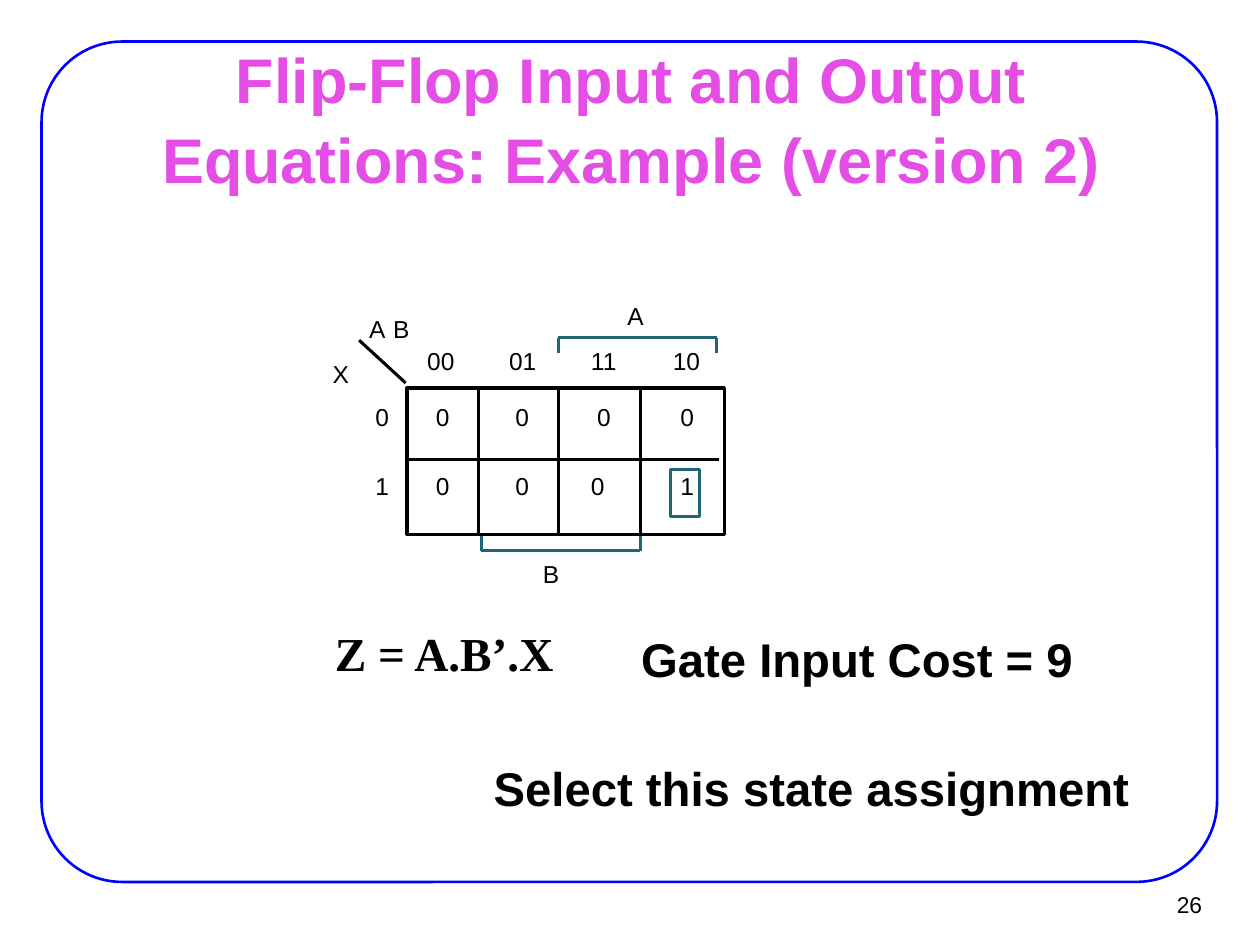
from pptx import Presentation
from pptx.dml.color import RGBColor
from pptx.enum.shapes import MSO_CONNECTOR as Connector, MSO_SHAPE as Shape
from pptx.enum.text import MSO_ANCHOR as Anchor, MSO_AUTO_SIZE as AutoSize, PP_ALIGN as Align
from pptx.oxml.ns import qn
from pptx.util import Inches, Pt
from lxml.etree import SubElement

BLACK, BLUE, TEAL, PINK = "000000", "0000FF", "226577", "E44EE4"


def color(value):
    return RGBColor.from_string(value)


class SlideBuilder:
    """Holds the shared style and the slide being drawn."""
    font = "Arial"
    label_size = 14
    statement_size = 27
    loose_spacing = 1.05
    line_width = 1.75

    def __init__(self, page):
        self.page = page

    def add_span(self, para, text, size, ink=BLACK, bold=False, font=None):
        span = para.add_run()
        span.text = text
        span.font.name = font or self.font
        span.font.size = Pt(size)
        span.font.bold = bold
        span.font.color.rgb = color(ink)

    def title(self, text, left, top, width, height):
        box = self.page.shapes.title
        box.left, box.top = Inches(left), Inches(top)
        box.width, box.height = Inches(width), Inches(height)
        frame = box.text_frame
        frame.auto_size = AutoSize.NONE
        frame.word_wrap = True
        frame.vertical_anchor = Anchor.MIDDLE
        frame.margin_left = frame.margin_right = Inches(0.11)
        frame.margin_top = frame.margin_bottom = Inches(0.06)
        para = frame.paragraphs[0]
        para.alignment = Align.CENTER
        para.line_spacing = self.loose_spacing
        self.add_span(para, text, 36, PINK, bold=True)

    def text_box(self, left, top, width, height):
        box = self.page.shapes.add_textbox(
            Inches(left), Inches(top), Inches(width), Inches(height))
        box.text_frame.word_wrap = False
        return box.text_frame

    def label(self, text, left, top):
        frame = self.text_box(left, top, 0.14 * len(text), 0.23)
        frame.margin_left = frame.margin_right = 0
        frame.margin_top = frame.margin_bottom = 0
        self.add_span(frame.paragraphs[0], text, self.label_size)

    def statement(self, text, left, top, width, font=None):
        frame = self.text_box(left, top, width, 0.55)
        frame.word_wrap = True
        para = frame.paragraphs[0]
        para.line_spacing = self.loose_spacing
        self.add_span(para, text, self.statement_size, bold=True, font=font)

    def page_number(self, text):
        frame = self.text_box(9.02, 6.99, 0.61, 0.37)
        frame.vertical_anchor = Anchor.MIDDLE
        frame.margin_left = frame.margin_right = Inches(0.09)
        frame.margin_top = frame.margin_bottom = Inches(0.04)
        frame.word_wrap = True
        para = frame.paragraphs[0]
        para.alignment = Align.RIGHT
        self.add_span(para, text, 13)

    def outline(self, kind, left, top, width, height, ink, weight=line_width):
        shape = self.page.shapes.add_shape(
            kind, Inches(left), Inches(top), Inches(width), Inches(height))
        shape.shadow.inherit = False
        shape.fill.background()
        shape.line.color.rgb = color(ink)
        shape.line.width = Pt(weight)
        return shape

    def polyline(self, points, ink=BLACK):
        """Join successive points with straight lines."""
        for start, end in zip(points, points[1:]):
            line = self.page.shapes.add_connector(
                Connector.STRAIGHT, *map(Inches, start + end))
            line.line.color.rgb = color(ink)
            line.line.width = Pt(self.line_width)
            SubElement(line._element.spPr, qn("a:effectLst"))

    def bracket(self, left, right, open_y, closed_y):
        self.polyline([(left, open_y), (left, closed_y),
                       (right, closed_y), (right, open_y)], TEAL)


def draw_karnaugh_map(slide):
    slide.outline(Shape.RECTANGLE, 3.23, 3.08, 2.52, 1.16, BLACK)
    slide.polyline([(3.22, 3.65), (5.71, 3.65)])
    for x in (3.8, 4.43, 5.08):
        slide.polyline([(x, 3.07), (x, 4.23)])
    slide.polyline([(3.22, 3.04), (2.85, 2.7)])
    slide.bracket(3.82, 5.08, 4.25, 4.37)
    slide.bracket(4.43, 5.69, 2.8, 2.68)

    for name, x, y in (("A", 2.93, 2.49), ("B", 3.12, 2.49), ("X", 2.64, 2.85),
                       ("A", 4.98, 2.39), ("B", 4.31, 4.44)):
        slide.label(name, x, y)
    for column, code in enumerate(("00", "01", "11", "10")):
        slide.label(code, 3.39 + 0.65 * column, 2.75)

    rows = (("0", "0000", 3.19, (3.46, 4.09, 4.74, 5.4)),
            ("1", "0001", 3.74, (3.46, 4.09, 4.69, 5.4)))
    for heading, values, y, columns in rows:
        slide.label(heading, 2.98, y)
        for value, x in zip(values, columns):
            slide.label(value, x, y)
    slide.outline(Shape.RECTANGLE, 5.32, 3.73, 0.23, 0.37, TEAL)


def main():
    deck = Presentation()
    deck.slide_width, deck.slide_height = Inches(10), Inches(7.5)
    slide = SlideBuilder(deck.slides.add_slide(deck.slide_layouts[5]))

    border = slide.outline(Shape.ROUNDED_RECTANGLE, 0.33, 0.33, 9.33, 6.67, BLUE, 1.5)
    border.adjustments[0] = 0.096
    slide.page_number("26")
    slide.title("Flip-Flop Input and Output Equations: Example (version 2)",
                0.76, 0.68, 8.5, 0.49)
    draw_karnaugh_map(slide)
    slide.statement("Z = A.B’.X", 2.56, 4.88, 3.7, "Times New Roman")
    slide.statement("Gate Input Cost = 9", 4.99, 4.93, 3.7)
    slide.statement("Select this state assignment", 3.82, 5.95, 5.3)
    deck.save("out.pptx")


if __name__ == "__main__":
    main()
